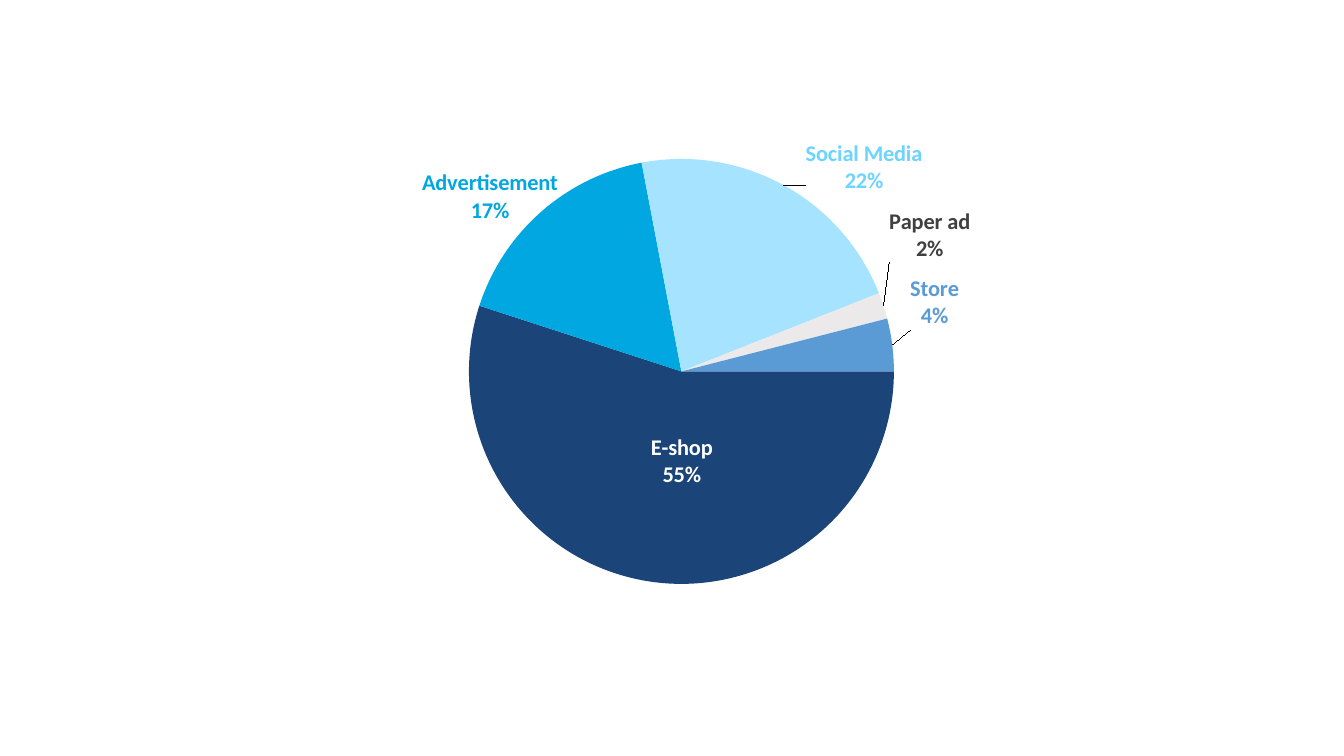
from lxml.etree import SubElement
from pptx import Presentation
from pptx.chart.data import CategoryChartData
from pptx.dml.color import RGBColor
from pptx.enum.chart import XL_CHART_TYPE, XL_LABEL_POSITION
from pptx.oxml.ns import qn
from pptx.util import Emu, Pt

NAVY = RGBColor(0x1B, 0x44, 0x79)
CYAN = RGBColor(0x00, 0xA7, 0xE1)
PALE = RGBColor(0xA6, 0xE3, 0xFF)
SKY = RGBColor(0x6D, 0xD3, 0xFF)
GRAY = RGBColor(0xEB, 0xE9, 0xE9)
DARK = RGBColor(0x40, 0x40, 0x40)
BLUE = RGBColor(0x5B, 0x9B, 0xD5)
WHITE = RGBColor(0xFF, 0xFF, 0xFF)
BLACK = RGBColor(0x00, 0x00, 0x00)

PX = 914400 / 100.8
LEFT, TOP, WIDTH, HEIGHT = 125, 100, 1094, 557
PIE_X, PIE_Y, PIE_SIZE = 469, 159, 425
OUT, CENTER = XL_LABEL_POSITION.OUTSIDE_END, XL_LABEL_POSITION.CENTER

SLICES = [
    ("E-shop", 55, NAVY, WHITE, CENTER, 17, -15),
    ("Advertisement", 17, CYAN, CYAN, OUT, 21, 17),
    ("Social Media", 22, PALE, SKY, OUT, 19, 15),
    ("Paper ad", 2, GRAY, DARK, OUT, 0, -41),
    ("Store", 4, BLUE, BLUE, OUT, 12, -14),
]


def add_layout(parent, index, **values):
    layout = SubElement(parent, qn("c:layout"))
    parent.insert(index, layout)
    manual = SubElement(layout, qn("c:manualLayout"))
    for tag, val in values.items():
        SubElement(manual, qn("c:" + tag)).set("val", str(val))


prs = Presentation()
prs.slide_width = Emu(round(1344 * PX))
prs.slide_height = Emu(round(756 * PX))
s = prs.slides.add_slide(prs.slide_layouts[6])

data = CategoryChartData()
data.categories = [row[0] for row in SLICES]
data.add_series("Series 1", [row[1] for row in SLICES])
box = [Emu(round(v * PX)) for v in (LEFT, TOP, WIDTH, HEIGHT)]
chart = s.shapes.add_chart(XL_CHART_TYPE.PIE, *box, data).chart
chart.has_title = False
chart.has_legend = False
chart.font.name = "Calibri"
chart.font.size = Pt(10)
chart.font.color.rgb = BLACK

plot = chart.plots[0]
plot.vary_by_categories = True
series = plot.series[0]

labels = series.data_labels
labels.show_value = False
labels.show_category_name = True
labels.show_percentage = True
labels.position = OUT
labels.font.name = "Calibri"
labels.font.size = Pt(16)
labels.font.bold = True
labels.font.color.rgb = NAVY

for i, (name, value, fill, color, position, dx, dy) in enumerate(SLICES):
    point = series.points[i]
    point.format.fill.solid()
    point.format.fill.fore_color.rgb = fill
    point.format.line.fill.background()
    label = point.data_label
    label.font.name = "Calibri"
    label.font.size = Pt(16)
    label.font.bold = True
    label.font.color.rgb = color
    label.position = position

ser = chart.element.find(".//" + qn("c:ser"))
for dLbl, row in zip(ser.iter(qn("c:dLbl")), SLICES):
    add_layout(dLbl, 1, x=round(row[5] / WIDTH, 4), y=round(row[6] / HEIGHT, 4))
    for tag, val in (("showVal", "0"), ("showCatName", "1"), ("showPercent", "1")):
        dLbl.find(qn("c:" + tag)).set("val", val)
    SubElement(dLbl, qn("c:separator")).text = "\n"
dLbls = ser.find(qn("c:dLbls"))
separator = SubElement(dLbls, qn("c:separator"))
separator.text = "\n"
dLbls.find(qn("c:showPercent")).addnext(separator)
bubble = dLbls.find(qn("c:showBubbleSize"))
if bubble is not None:
    bubble.addnext(separator)

pie = ser.getparent()
SubElement(pie, qn("c:firstSliceAng")).set("val", "90")
area = pie.getparent()
for old in area.findall(qn("c:layout")):
    area.remove(old)
add_layout(
    area, 0, layoutTarget="inner", xMode="edge", yMode="edge",
    x=round((PIE_X - LEFT) / WIDTH, 4), y=round((PIE_Y - TOP) / HEIGHT, 4),
    w=round(PIE_SIZE / WIDTH, 4), h=round(PIE_SIZE / HEIGHT, 4),
)

prs.save("out.pptx")
